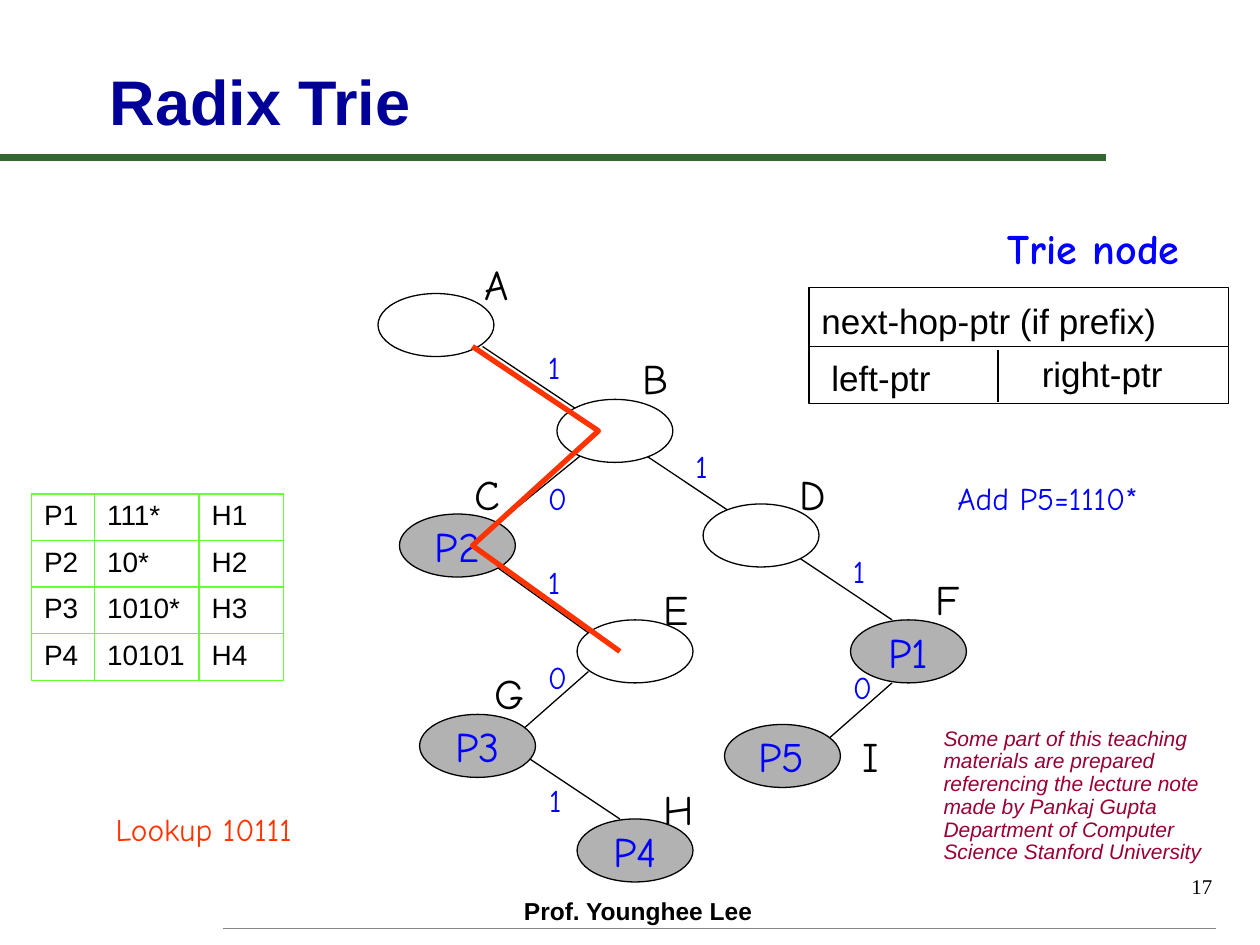
from typing import NamedTuple

from lxml.etree import SubElement
from pptx import Presentation
from pptx.dml.color import RGBColor
from pptx.enum.shapes import MSO_CONNECTOR, MSO_SHAPE
from pptx.enum.text import MSO_ANCHOR, MSO_AUTO_SIZE, PP_ALIGN
from pptx.oxml.ns import qn
from pptx.util import Inches, Pt

BLACK = RGBColor(0x00, 0x00, 0x00)
WHITE = RGBColor(0xFF, 0xFF, 0xFF)
GRAY = RGBColor(0xB2, 0xB2, 0xB2)
RULE_GRAY = RGBColor(0x86, 0x86, 0x86)
RULE_GREEN = RGBColor(0x33, 0x66, 0x33)
TABLE_GREEN = RGBColor(0x66, 0xFF, 0x33)
NAVY = RGBColor(0x00, 0x00, 0x99)
BLUE = RGBColor(0x00, 0x00, 0xFF)
ORANGE = RGBColor(0xFF, 0x33, 0x00)
MAROON = RGBColor(0x99, 0x00, 0x33)
COMIC, ARIAL, TIMES = "Comic Neue", "Arial", "Times New Roman"
NODE_WIDTH, NODE_HEIGHT = 0.92, 0.5


class Style(NamedTuple):
    size: int
    font: str
    color: RGBColor
    bold: bool = False
    italic: bool = False


class Node(NamedTuple):
    left: float
    top: float
    prefix: str = ""
    filled: bool = False


class Label(NamedTuple):
    text: str
    left: float
    top: float
    width: float
    height: float
    style: Style
    wrap: bool = False
    fill: RGBColor | None = None


class Line(NamedTuple):
    x1: float
    y1: float
    x2: float
    y2: float
    color: RGBColor = BLACK
    width: float = 0.75


NAME = Style(24, COMIC, BLACK)
PREFIX = Style(24, COMIC, BLUE)
BIT = Style(18, COMIC, BLUE)
FIELD = Style(20, ARIAL, BLACK)
CELL = Style(16, ARIAL, BLACK)

RULES = [Line(0, 1.25, 8.78, 1.25, RULE_GREEN, 4),
         Line(1.77, 7.37, 9.65, 7.37, RULE_GRAY, 1)]
EDGES = [Line(4.67, 5.33, 4, 5.92), Line(4.75, 3.5, 3.83, 4.25),
         Line(3.83, 2.75, 7.08, 4.92), Line(4.17, 6, 4.92, 6.5),
         Line(3.83, 4.42, 4.75, 5.08), Line(7.08, 5.42, 6.42, 6)]
NODES = [Node(3, 2.33), Node(3.17, 4.08, "P2", True), Node(5.58, 4),
         Node(4.42, 3.17), Node(4.58, 4.92), Node(3.33, 5.67, "P3", True),
         Node(4.58, 6.5, "P4", True), Node(6.75, 4.92, "P1", True),
         Node(5.75, 5.75, filled=True)]
NODE_NAMES = [("A", 3.75, 2, 0.44), ("B", 5, 2.75, 0.41), ("C", 3.67, 3.67, 0.4),
              ("G", 3.83, 5.25, 0.43), ("D", 6.25, 3.67, 0.44), ("F", 7.33, 4.5, 0.4),
              ("H", 5.17, 6.17, 0.46), ("E", 5.17, 4.58, 0.41), ("I", 6.75, 5.75, 0.38)]
BITS = [("1", 4.25, 2.71), ("0", 4.25, 5.17), ("0", 4.25, 3.75), ("1", 4.25, 4.42),
        ("1", 6.67, 4.33), ("1", 4.26, 6.15), ("1", 5.42, 3.5), ("0", 6.67, 5.25)]
LOOKUP_STEPS = [(3.75, 2.75), (4.75, 3.42), (3.75, 4.33), (4.92, 5.17)]
PREFIX_ROWS = [("P1", "111*", "H1"), ("P2", "10*", "H2"),
               ("P3", "1010*", "H3"), ("P4", "10101", "H4")]
COLUMN_WIDTHS = [0.5, 0.83, 0.67]
ROW_HEIGHT = 0.37
CREDIT = ("Some part of this teaching materials are prepared referencing the lecture "
          "note made by Pankaj Gupta Department of Computer Science Stanford University")


def add_run(paragraph, text: str, style: Style) -> None:
    run = paragraph.add_run()
    run.text = text
    font = run.font
    font.size, font.name = Pt(style.size), style.font
    font.bold, font.italic = style.bold, style.italic
    font.color.rgb = style.color


def add_label(slide, label: Label):
    box = slide.shapes.add_textbox(*map(Inches, label[1:5]))
    if label.fill is not None:
        box.fill.solid()
        box.fill.fore_color.rgb = label.fill
    frame = box.text_frame
    frame.word_wrap = label.wrap
    frame.auto_size = MSO_AUTO_SIZE.SHAPE_TO_FIT_TEXT
    add_run(frame.paragraphs[0], label.text, label.style)
    return box


def add_line(slide, line: Line) -> None:
    connector = slide.shapes.add_connector(MSO_CONNECTOR.STRAIGHT, *map(Inches, line[:4]))
    connector.line.color.rgb = line.color
    connector.line.width = Pt(line.width)
    SubElement(connector._element.spPr, qn("a:effectLst"))


def add_outlined(slide, kind: MSO_SHAPE, left: float, top: float,
                 width: float, height: float, fill: RGBColor):
    shape = slide.shapes.add_shape(kind, *map(Inches, (left, top, width, height)))
    shape.shadow.inherit = False
    shape.fill.solid()
    shape.fill.fore_color.rgb = fill
    shape.line.color.rgb = BLACK
    shape.line.width = Pt(0.75)
    return shape


def add_node(slide, node: Node) -> None:
    shape = add_outlined(slide, MSO_SHAPE.OVAL, node.left, node.top,
                         NODE_WIDTH, NODE_HEIGHT, GRAY if node.filled else WHITE)
    if node.prefix:
        frame = shape.text_frame
        frame.word_wrap = False
        frame.vertical_anchor = MSO_ANCHOR.MIDDLE
        frame.paragraphs[0].alignment = PP_ALIGN.CENTER
        add_run(frame.paragraphs[0], node.prefix, PREFIX)


def format_cell(cell, text: str) -> None:
    add_run(cell.text_frame.paragraphs[0], text, CELL)
    properties = cell._tc.get_or_add_tcPr()
    for side in ("a:lnL", "a:lnR", "a:lnT", "a:lnB"):
        border = SubElement(properties, qn(side), w=str(Pt(1)))
        fill = SubElement(border, qn("a:solidFill"))
        SubElement(fill, qn("a:srgbClr"), val=str(TABLE_GREEN))
    cell.fill.solid()
    cell.fill.fore_color.rgb = WHITE


def add_prefix_table(slide) -> None:
    table = slide.shapes.add_table(
        len(PREFIX_ROWS), len(COLUMN_WIDTHS), Inches(0.25), Inches(3.92),
        Inches(sum(COLUMN_WIDTHS)), Inches(ROW_HEIGHT * len(PREFIX_ROWS))).table
    for column, width in zip(table.columns, COLUMN_WIDTHS):
        column.width = Inches(width)
    for row, values in zip(table.rows, PREFIX_ROWS):
        row.height = Inches(ROW_HEIGHT)
        for cell, value in zip(row.cells, values):
            format_cell(cell, value)


def add_lookup_route(slide) -> None:
    points = [(Inches(x), Inches(y)) for x, y in LOOKUP_STEPS]
    builder = slide.shapes.build_freeform(*points[0])
    builder.add_line_segments(points[1:], close=False)
    route = builder.convert_to_shape()
    route.shadow.inherit = False
    route.fill.background()
    route.line.color.rgb = ORANGE
    route.line.width = Pt(3)


def main() -> None:
    presentation = Presentation()
    presentation.slide_width, presentation.slide_height = Inches(10), Inches(7.5)
    slide = presentation.slides.add_slide(presentation.slide_layouts[5])

    # Title, rules and footer
    title = slide.shapes.title
    title.left, title.top, title.width, title.height = map(Inches, (0.77, 0.44, 8.15, 0.71))
    title.text_frame.vertical_anchor = MSO_ANCHOR.BOTTOM
    title.text_frame.paragraphs[0].alignment = PP_ALIGN.LEFT
    add_run(title.text_frame.paragraphs[0], "Radix Trie", Style(36, ARIAL, NAVY, bold=True))
    for rule in RULES:
        add_line(slide, rule)
    add_label(slide, Label("Prof. Younghee Lee", 4.06, 7.06, 2.08, 0.33,
                           Style(14, ARIAL, BLACK, bold=True), wrap=True))
    number = add_label(slide, Label("17", 7.64, 6.78, 2.08, 0.5,
                                    Style(12, TIMES, BLACK), wrap=True))
    number.text_frame.auto_size = MSO_AUTO_SIZE.NONE
    number.text_frame.vertical_anchor = MSO_ANCHOR.MIDDLE
    number.text_frame.paragraphs[0].alignment = PP_ALIGN.RIGHT

    # Trie and prefix table
    for edge in EDGES:
        add_line(slide, edge)
    add_prefix_table(slide)
    for node in NODES:
        add_node(slide, node)
    for text, left, top, width in NODE_NAMES:
        add_label(slide, Label(text, left, top, width, 0.5, NAME))
    for text, left, top in BITS:
        add_label(slide, Label(text, left, top, 0.31 if text == "1" else 0.35, 0.4, BIT))
    add_label(slide, Label("P5", 5.92, 5.75, 0.58, 0.5, PREFIX))

    # Lookup and insertion examples
    add_label(slide, Label("Lookup 10111", 0.82, 6.38, 1.68, 0.4,
                           Style(18, COMIC, ORANGE), fill=WHITE))
    add_lookup_route(slide)
    add_label(slide, Label("Add P5=1110*", 7.5, 3.75, 1.79, 0.4, BIT, fill=WHITE))

    # Layout of a trie node
    add_outlined(slide, MSO_SHAPE.RECTANGLE, 6.42, 2.28, 3.33, 0.92, WHITE)
    add_label(slide, Label("next-hop-ptr (if prefix)", 6.42, 2.33, 2.88, 0.44, FIELD))
    add_label(slide, Label("left-ptr", 6.5, 2.78, 0.99, 0.44, FIELD))
    add_label(slide, Label("right-ptr", 8.17, 2.75, 1.17, 0.44, FIELD))
    add_line(slide, Line(7.92, 2.78, 7.92, 3.19))
    add_line(slide, Line(6.42, 2.75, 9.75, 2.75))
    add_label(slide, Label("Trie node", 7.9, 1.72, 1.75, 0.5, PREFIX._replace(bold=True)))

    # Credit
    credit = add_label(slide, Label(CREDIT, 7.39, 5.73, 2.37, 1.19,
                                    Style(12, ARIAL, MAROON, italic=True), wrap=True))
    credit.text_frame.paragraphs[0].line_spacing = 0.9
    presentation.save("out.pptx")


if __name__ == "__main__":
    main()
